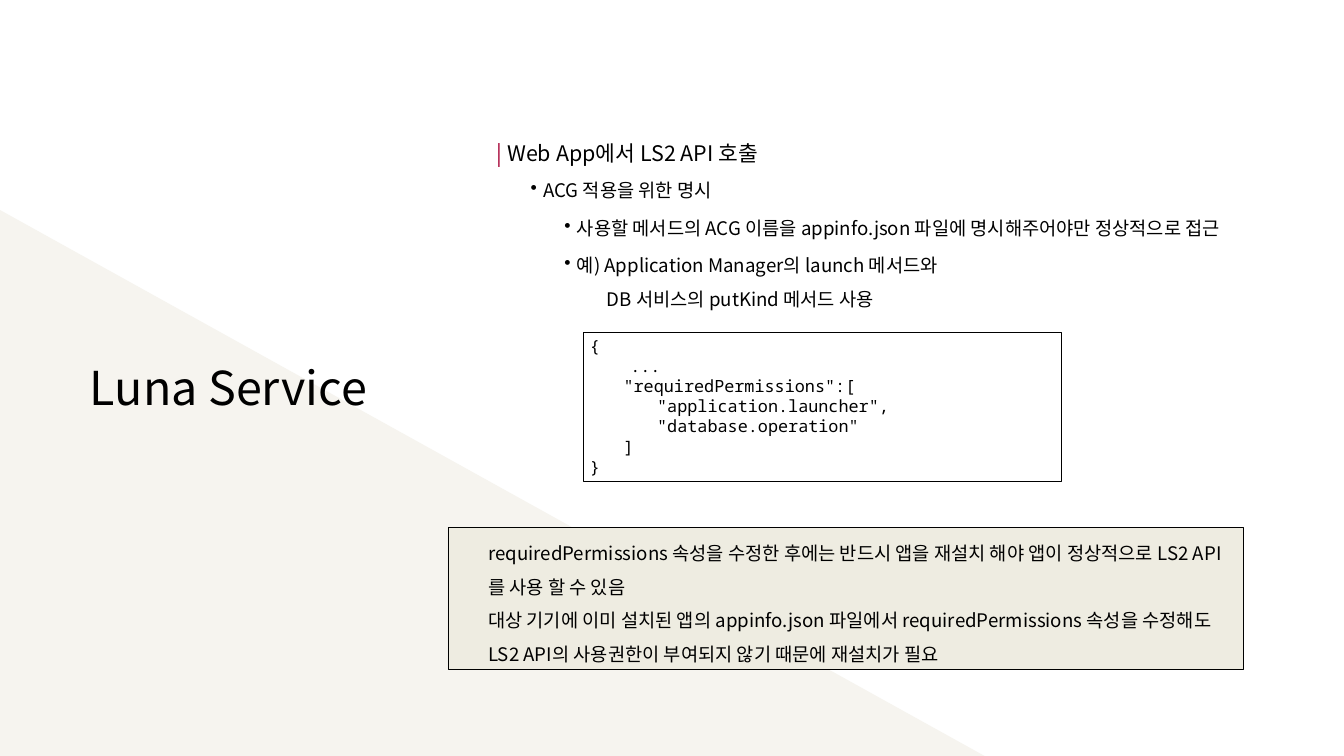
from dataclasses import dataclass
from typing import Any

from lxml import etree
from pptx import Presentation
from pptx.dml.color import RGBColor
from pptx.enum.shapes import MSO_SHAPE
from pptx.enum.text import MSO_ANCHOR, PP_ALIGN
from pptx.oxml.ns import qn
from pptx.util import Pt

TRIANGLE, RECTANGLE = MSO_SHAPE.RIGHT_TRIANGLE, MSO_SHAPE.RECTANGLE
ISOSCELES = MSO_SHAPE.ISOSCELES_TRIANGLE
TOP = MSO_ANCHOR.TOP
LEFT, CENTER = PP_ALIGN.LEFT, PP_ALIGN.CENTER
SANS, MONO = "Noto Sans CJK KR", "Noto Sans Mono"
COLORS = {"text": "000000", "accent": "A50034", "wedge": "F6F4EF", "note": "EEECE1"}


@dataclass(frozen=True)
class Line:
    """One paragraph: its text, left margin, bullet and spacing."""

    text: str
    margin: float = 0
    bullet: bool = False
    spacing: float = 1.0
    before: float = 0
    after: float = 0
    lead: str = ""


TOPICS = [
    Line("Web App에서 LS2 API 호출", lead="| "),
    Line("ACG 적용을 위한 명시", 50, True, 1.5, 2, 2),
    Line("사용할 메서드의 ACG 이름을 appinfo.json 파일에 명시해주어야만 정상적으로 접근", 86, True, 1.5, 2, 2),
    Line("예) Application Manager의 launch 메서드와", 86, True, 1.5, 2),
    Line("DB 서비스의 putKind 메서드 사용", 118, spacing=1.5, after=2),
]
CODE = [
    Line("{"),
    Line("    ..."),
    Line('"requiredPermissions":[', 36),
    Line('\t"application.launcher",', 36),
    Line('\t"database.operation"', 36),
    Line("]", 36),
    Line("}"),
]
NOTES = [
    Line("requiredPermissions 속성을 수정한 후에는 반드시 앱을 재설치 해야 앱이 정상적으로 LS2 API를 사용 할 수 있음",
         36, spacing=1.5),
    Line("대상 기기에 이미 설치된 앱의 appinfo.json 파일에서 requiredPermissions 속성을 수정해도 "
         "LS2 API의 사용권한이 부여되지 않기 때문에 재설치가 필요", 36, spacing=1.5),
]


def rgb(name: str) -> RGBColor:
    """Return the named colour."""
    return RGBColor.from_string(COLORS[name])


def add_run(p: Any, text: str, *, size: float, font: str = SANS, color: str = "text") -> None:
    """Add formatted text to a paragraph."""
    r = p.add_run()
    r.text = text
    r.font.size, r.font.name = Pt(size), font
    r.font.color.rgb = rgb(color)
    etree.SubElement(r.font._element, qn("a:ea"), typeface=font)


def write(sp: Any, lines: list[Line], *, size: float, first_size: float = 0,
          font: str = SANS, align: PP_ALIGN = LEFT) -> None:
    """Fill a shape with paragraphs."""
    tf = sp.text_frame
    tf.word_wrap, tf.vertical_anchor = True, TOP
    for i, line in enumerate(lines):
        p = tf.add_paragraph() if i else tf.paragraphs[0]
        p.alignment, p.line_spacing = align, line.spacing
        p.space_before, p.space_after = Pt(line.before), Pt(line.after)
        pPr = p._p.get_or_add_pPr()
        pPr.set("marL", str(Pt(line.margin)))
        pPr.set("indent", str(Pt(-13.5 if line.bullet else 0)))
        if line.bullet:
            etree.SubElement(pPr, qn("a:buChar"), char="•")
        run_size = size if i else first_size or size
        if line.lead:
            add_run(p, line.lead, size=run_size, font=font, color="accent")
        add_run(p, line.text, size=run_size, font=font)


def add_text(s: Any, box: tuple[float, ...], lines: list[Line], **fmt: Any) -> None:
    """Add a text box."""
    write(s.shapes.add_textbox(*map(Pt, box)), lines, **fmt)


def add_panel(s: Any, kind: MSO_SHAPE, box: tuple[float, ...], *,
              fill: str = "", line: str = "") -> Any:
    """Add a flat preset shape with an optional fill and outline."""
    sp = s.shapes.add_shape(kind, *map(Pt, box))
    sp.shadow.inherit = False
    if fill:
        sp.fill.solid()
        sp.fill.fore_color.rgb = rgb(fill)
    else:
        sp.fill.background()
    if line:
        sp.line.color.rgb = rgb(line)
        sp.line.width = Pt(0.75)
    else:
        sp.line.fill.background()
    return sp


def main() -> None:
    """Build and save the slide."""
    prs = Presentation()
    prs.slide_width, prs.slide_height = Pt(1440), Pt(810)
    s = prs.slides.add_slide(prs.slide_layouts[6])
    wedge = add_panel(s, ISOSCELES, (0, 225, 1055, 585), fill="wedge")
    wedge.adjustments[0] = 0
    add_text(s, (83, 381, 324, 68), [Line("Luna Service")], size=50, align=CENTER)
    add_text(s, (525, 147, 825, 191), TOPICS, size=20, first_size=23)
    code = add_panel(s, RECTANGLE, (625, 356, 512.5, 160), line="text")
    write(code, CODE, size=18, font=MONO)
    note = add_panel(s, RECTANGLE, (480, 565, 852, 152.5), fill="note", line="text")
    write(note, NOTES, size=20)
    prs.save("out.pptx")


if __name__ == "__main__":
    main()
